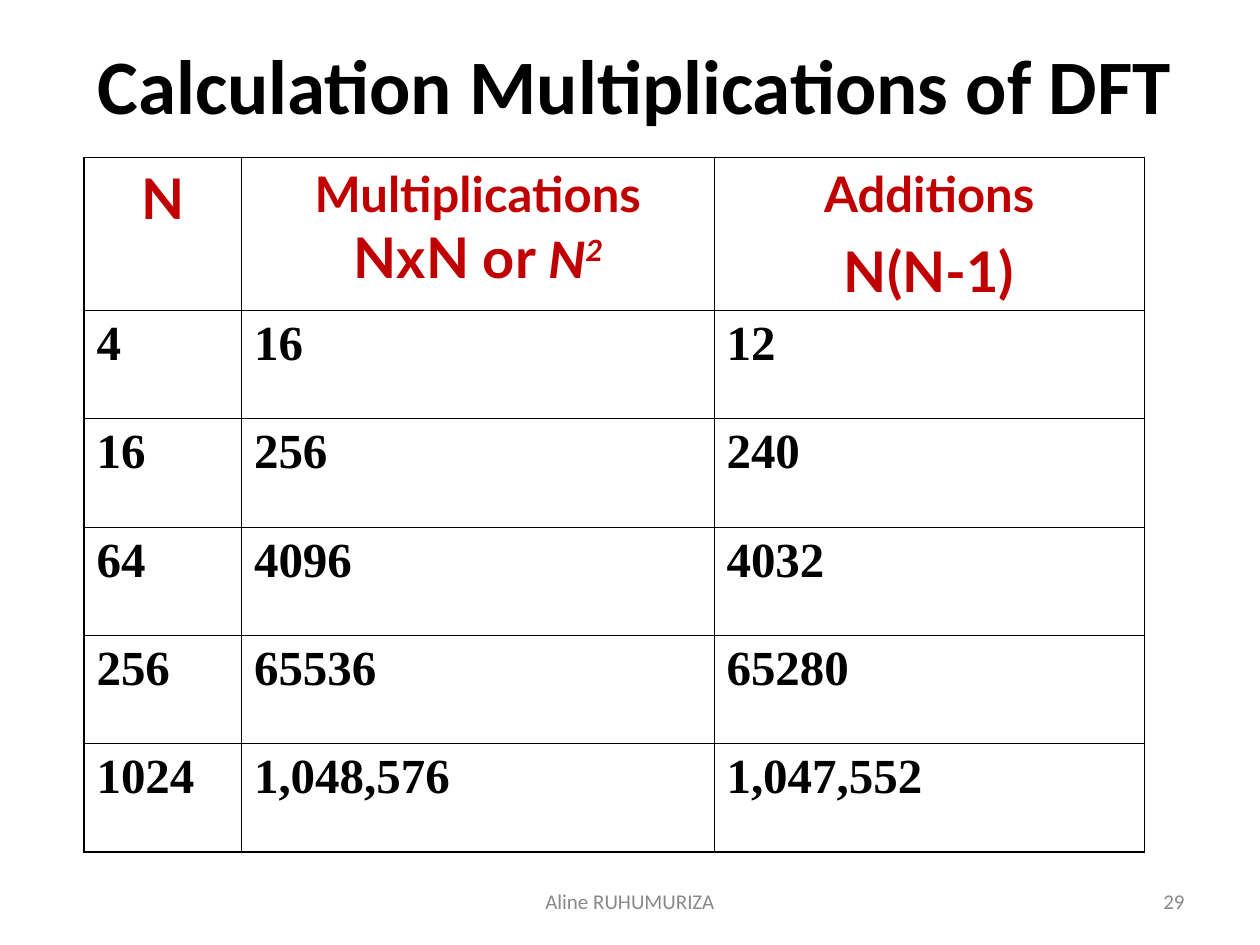
import pptx
import pptx.util
import pptx.dml.color
import pptx.enum.text
import pptx.oxml.ns
import lxml.etree

Pt = pptx.util.Pt
ALIGN = pptx.enum.text.PP_ALIGN
MIDDLE = pptx.enum.text.MSO_ANCHOR.MIDDLE
RED = "C00000"
BLACK = "000000"
GREY = "898989"
COLS = [90, 270, 246]
ROWS = [87.4] + [61.9] * 5
SIZES = [4, 16, 64, 256, 1024]
THIN, THICK = 0.45, 1.08


def color(code):
    return pptx.dml.color.RGBColor.from_string(code)


def add_run(para, text, size, face, code, bold=True, slant=False, rise=0):
    run = para.add_run()
    run.text = text
    font = run.font
    font.size = Pt(size)
    font.name = face
    font.bold = bold
    font.italic = slant
    font.color.rgb = color(code)
    if rise:
        font._element.set("baseline", str(rise * 1000))


def add_label(slide, left, top, width, height, align, text, size, code, bold):
    box = slide.shapes.add_textbox(Pt(left), Pt(top), Pt(width), Pt(height))
    frame = box.text_frame
    frame.word_wrap = True
    frame.vertical_anchor = MIDDLE
    para = frame.paragraphs[0]
    para.alignment = align
    add_run(para, text, size, "Calibri", code, bold)


def add_edge(cell, side, width):
    tag = pptx.oxml.ns.qn
    props = cell._tc.get_or_add_tcPr()
    line = lxml.etree.SubElement(props, tag("a:ln" + side), w=str(Pt(width)))
    fill = lxml.etree.SubElement(line, tag("a:solidFill"))
    lxml.etree.SubElement(fill, tag("a:srgbClr"), val=BLACK)


def style_cell(cell, row, col):
    outer = {
        "L": col == 0,
        "R": col == len(COLS) - 1,
        "T": row == 0,
        "B": row == len(ROWS) - 1,
    }
    for side, edge in outer.items():
        add_edge(cell, side, THICK if edge else THIN)
    cell.fill.background()


def fill_head(cells):
    first, mult, adds = [cell.text_frame for cell in cells]
    add_run(first.paragraphs[0], "N", 32, "Lato", RED)

    para = mult.paragraphs[0]
    add_run(para, "Multiplications ", 28, "Lato", RED)
    add_run(para, "NxN or ", 32, "Lato", RED)
    add_run(para, "N", 32, "Calibri", RED, slant=True)
    add_run(para, "2", 32, "Calibri", RED, slant=True, rise=30)

    add_run(adds.paragraphs[0], "Additions", 28, "Lato", RED)
    para = adds.add_paragraph()
    para.space_before = Pt(8)
    add_run(para, "N(N-1)", 32, "Lato", RED)

    for frame in (first, mult, adds):
        for para in frame.paragraphs:
            para.alignment = ALIGN.CENTER


def show(count):
    return f"{count:,}" if count >= 100000 else str(count)


def add_grid(slide):
    frame = slide.shapes.add_table(
        len(ROWS), len(COLS), Pt(48), Pt(90), Pt(sum(COLS)), Pt(sum(ROWS)))
    table = frame.table
    table.first_row = False
    table.horz_banding = False
    for col, width in zip(table.columns, COLS):
        col.width = Pt(width)
    for row, height in zip(table.rows, ROWS):
        row.height = Pt(height)

    fill_head([table.cell(0, col) for col in range(len(COLS))])
    for row, size in enumerate(SIZES, 1):
        for col, count in enumerate((size, size * size, size * (size - 1))):
            para = table.cell(row, col).text_frame.paragraphs[0]
            add_run(para, show(count), 28, "Times New Roman", BLACK)

    for row in range(len(ROWS)):
        for col in range(len(COLS)):
            style_cell(table.cell(row, col), row, col)


def main():
    deck = pptx.Presentation()
    deck.slide_width = Pt(720)
    deck.slide_height = Pt(540)
    slide = deck.slides.add_slide(deck.slide_layouts[6])
    add_label(slide, 42, 18, 642, 60, ALIGN.CENTER,
              "Calculation Multiplications of DFT", 44, BLACK, True)
    add_grid(slide)
    add_label(slide, 516, 500.5, 168, 28.75, ALIGN.RIGHT,
              "29", 12, GREY, False)
    add_label(slide, 246, 500.5, 228, 28.75, ALIGN.CENTER,
              "Aline RUHUMURIZA", 12, GREY, False)
    deck.save("out.pptx")


if __name__ == "__main__":
    main()
